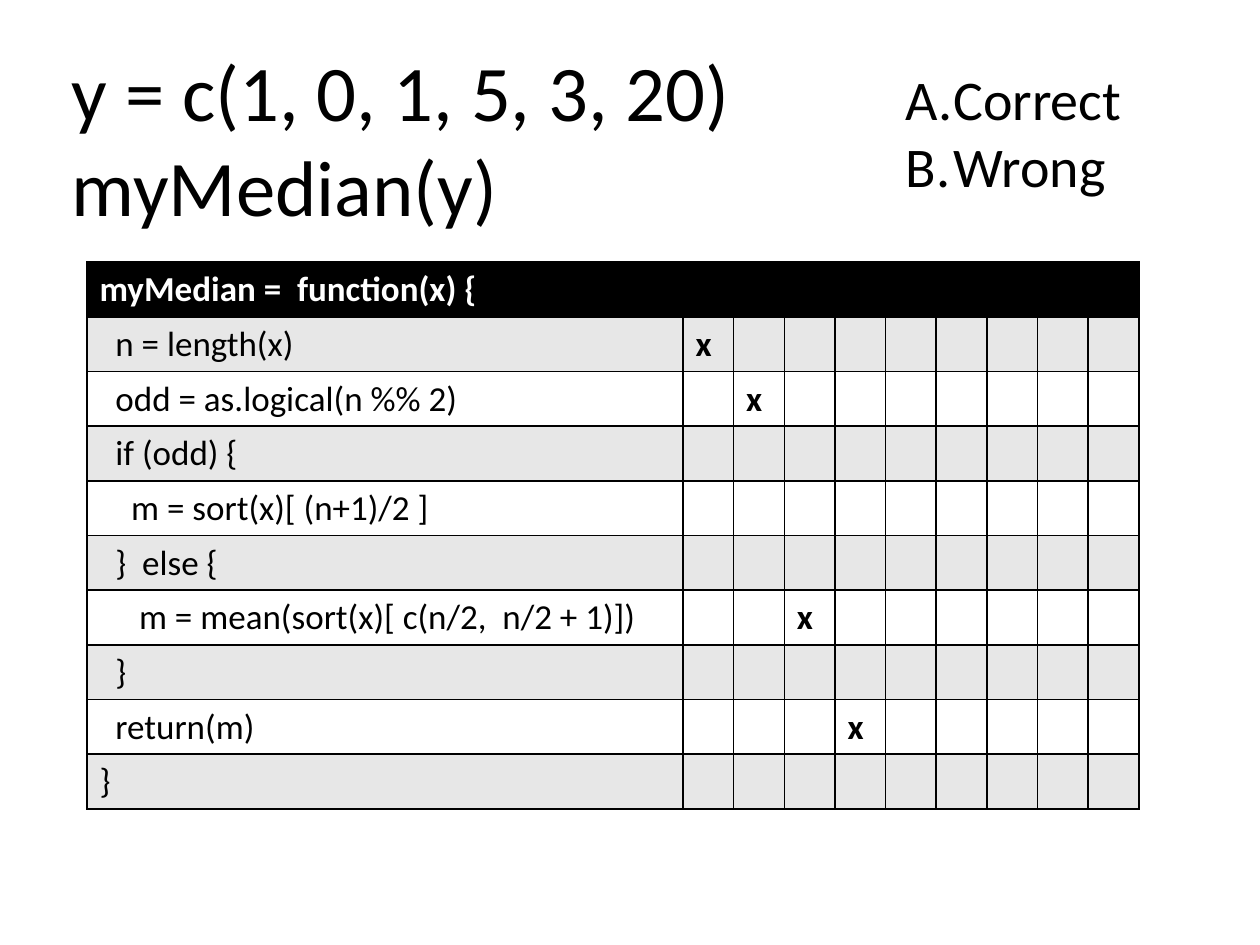
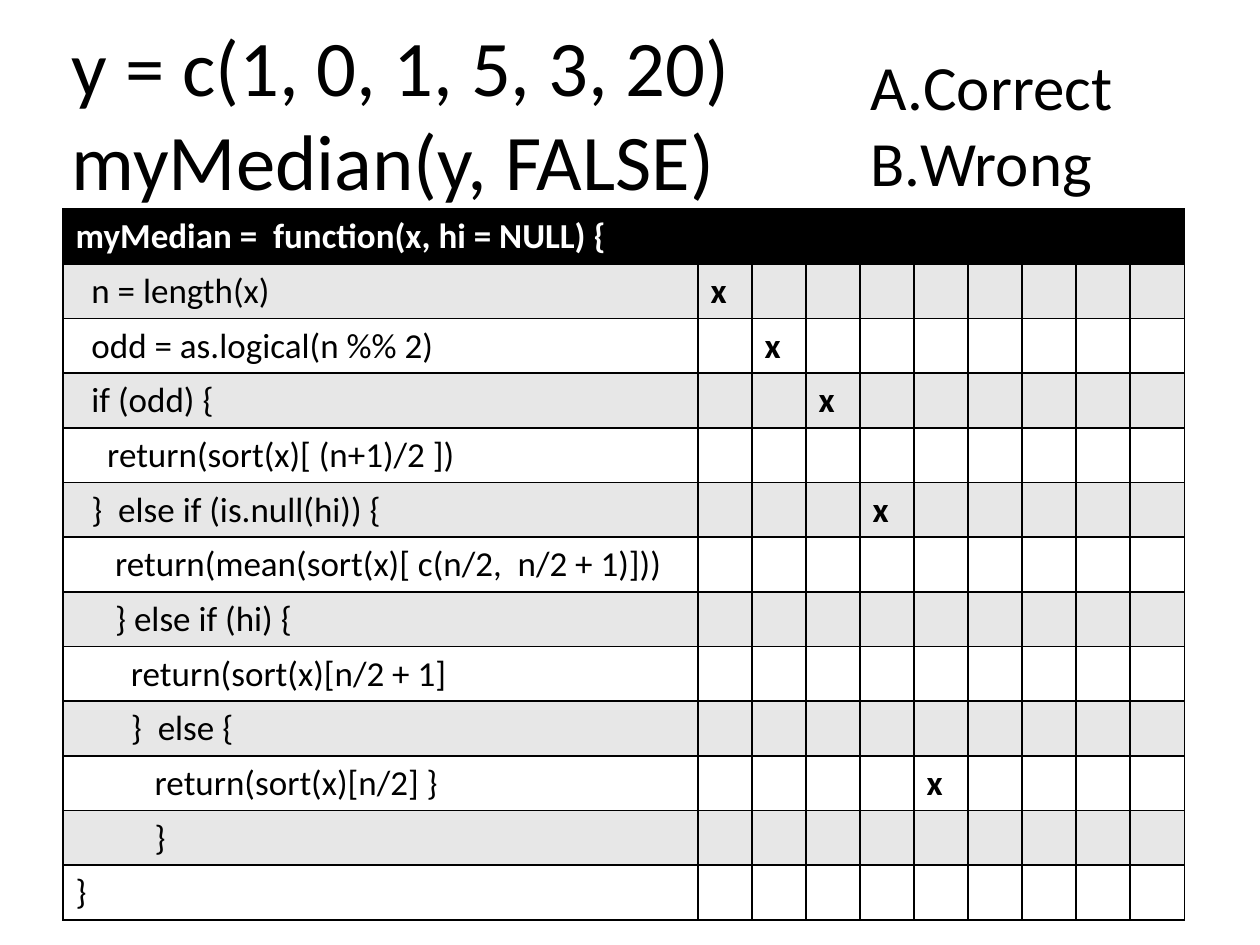
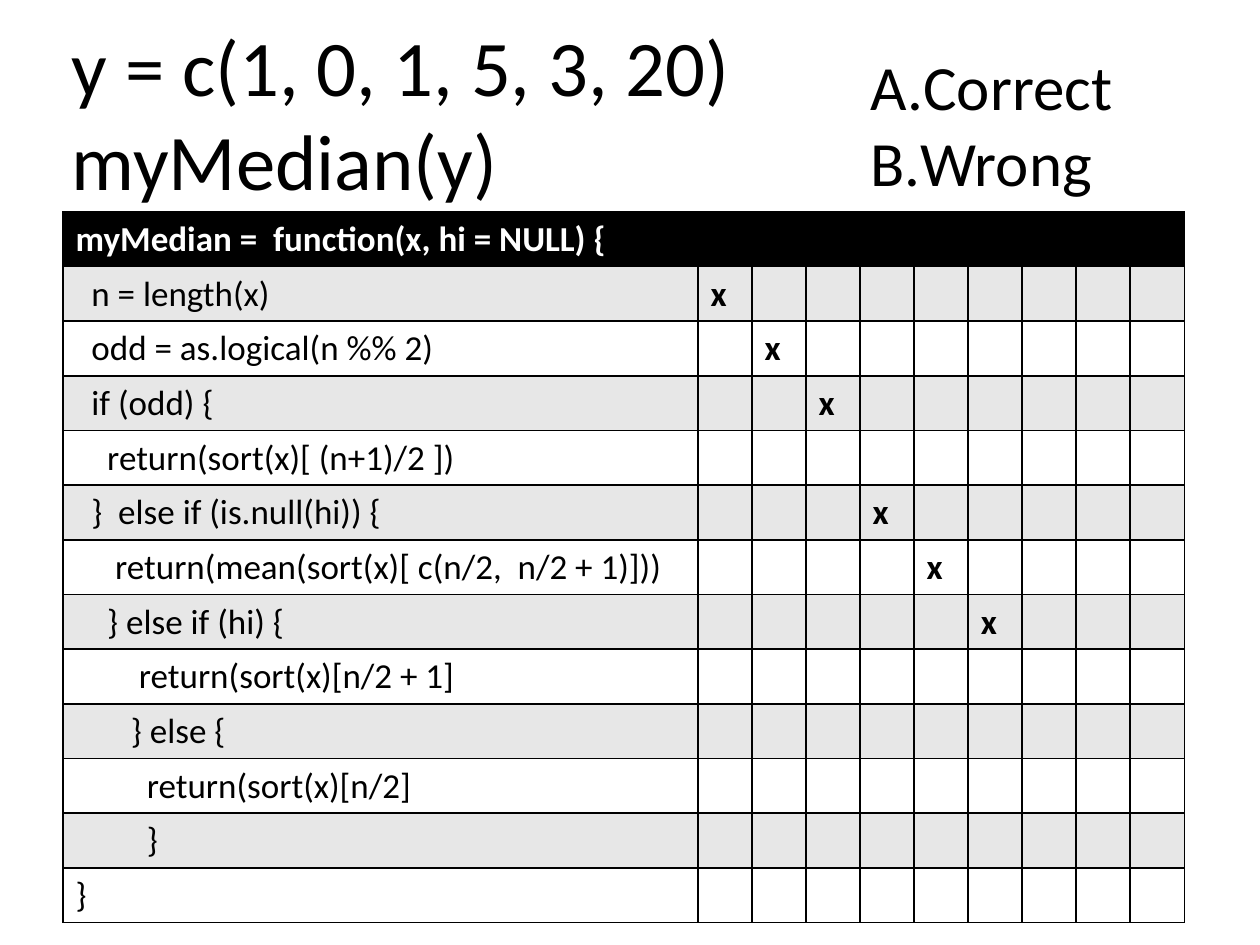
from dataclasses import dataclass

from lxml import etree
from pptx import Presentation
from pptx.dml.color import RGBColor
from pptx.enum.text import MSO_ANCHOR, MSO_AUTO_SIZE, PP_ALIGN
from pptx.oxml.ns import qn
from pptx.util import Pt

LEFT = PP_ALIGN.LEFT
TOP = MSO_ANCHOR.TOP
NO_FIT, GROW = MSO_AUTO_SIZE.NONE, MSO_AUTO_SIZE.SHAPE_TO_FIT_TEXT
TITLE_AND_CONTENT = 1
STEP_COLUMNS = 9


@dataclass(frozen=True)
class Theme:
    font: str = "Calibri"
    ink: RGBColor = RGBColor(0x00, 0x00, 0x00)
    paper: RGBColor = RGBColor(0xFF, 0xFF, 0xFF)
    band: RGBColor = RGBColor(0xE7, 0xE7, 0xE7)
    title_size: float = 45
    code_size: float = 20
    code_space: float = 4.52  # width of one space at code_size
    row_height: float = 31.2
    border: float = 1
    answer_indent: float = 27


@dataclass(frozen=True)
class Arrangement:
    """Places of the parts of one slide, in points."""
    title_top: float
    answers: tuple
    answer_size: float
    table_left: float
    table_width: float
    code_width: float


ROOMY = Arrangement(21.6, (510.5, 33.1, 140.4, 85), 32, 49.7, 601.2, 340.6)
TIGHT = Arrangement(7.2, (490.3, 23.8, 193.7, 94.3), 36, 36, 640.8, 362.9)

ANSWERS = ["Correct", "Wrong"]
VECTOR = "y = c(1, 0, 1, 5, 3, 20)"

COUNT_LINES = [
    "  n = length(x)",
    "  odd = as.logical(n %% 2)",
    "  if (odd) {",
]
SIMPLE_MEDIAN = [
    "myMedian =  function(x) {",
    *COUNT_LINES,
    "    m = sort(x)[ (n+1)/2 ]",
    "  }  else {",
    "     m = mean(sort(x)[ c(n/2,  n/2 + 1)])",
    "  }",
    "  return(m)",
    "}",
]
HI_MEDIAN_START = [
    "myMedian =  function(x, hi = NULL) {",
    *COUNT_LINES,
    "    return(sort(x)[ (n+1)/2 ])",
    "  }  else if (is.null(hi)) {",
    "     return(mean(sort(x)[ c(n/2,  n/2 + 1)]))",
]
HI_MEDIAN_FALSE = [
    *HI_MEDIAN_START,
    "     } else if (hi) {",
    "       return(sort(x)[n/2 + 1]",
    "       }  else {",
    "          return(sort(x)[n/2] }",
    "          }",
    "}",
]
HI_MEDIAN_NULL = [
    *HI_MEDIAN_START,
    "    } else if (hi) {",
    "        return(sort(x)[n/2 + 1]",
    "       } else {",
    "         return(sort(x)[n/2]",
    "         }",
    "}",
]


class TraceDeck:
    def __init__(self, theme):
        self.theme = theme
        self.deck = Presentation()
        self.deck.slide_width, self.deck.slide_height = Pt(720), Pt(540)
        self.page = None

    def add_page(self, arrangement):
        layout = self.deck.slide_layouts[TITLE_AND_CONTENT]
        self.page = self.deck.slides.add_slide(layout)
        self.arrangement = arrangement

    def format_paragraph(self, para, size, color, bold=False):
        para.alignment = LEFT
        font = para.font
        font.name, font.size, font.bold = self.theme.font, Pt(size), bold
        font.color.rgb = color

    def place(self, box, left, top, width, height):
        box.left, box.top = Pt(left), Pt(top)
        box.width, box.height = Pt(width), Pt(height)

    def add_title(self, call):
        box = self.page.shapes.title
        self.place(box, 36, self.arrangement.title_top, 648, 90)
        frame = box.text_frame
        frame.text = f"{VECTOR}\v{call}"
        frame.auto_size, frame.vertical_anchor = NO_FIT, TOP
        frame.margin_left = frame.margin_right = Pt(5)
        frame.margin_top = frame.margin_bottom = Pt(2.9)
        para = frame.paragraphs[0]
        self.format_paragraph(para, self.theme.title_size, self.theme.ink)

    def add_answers(self):
        box = self.page.placeholders[1]
        self.place(box, *self.arrangement.answers)
        frame = box.text_frame
        frame.text = "\n".join(ANSWERS)
        frame.auto_size, frame.vertical_anchor = GROW, TOP
        indent = Pt(self.theme.answer_indent)
        for para in frame.paragraphs:
            self.format_paragraph(para, self.arrangement.answer_size, self.theme.ink)
            para.space_before = Pt(0)
            properties = para._p.get_or_add_pPr()
            properties.set("marL", str(indent))
            properties.set("indent", str(-indent))
            # Numbering goes before the default run properties.
            number = etree.Element(qn("a:buAutoNum"), type="alphaUcPeriod")
            properties.find(qn("a:defRPr")).addprevious(number)

    def style_cell(self, cell, fill):
        properties = cell._tc.get_or_add_tcPr()
        for side in ("a:lnL", "a:lnR", "a:lnT", "a:lnB"):
            line = etree.SubElement(properties, qn(side), w=str(Pt(self.theme.border)))
            solid = etree.SubElement(line, qn("a:solidFill"))
            etree.SubElement(solid, qn("a:srgbClr"), val=str(self.theme.ink))
        cell.fill.solid()
        cell.fill.fore_color.rgb = fill

    def write_code(self, cell, line, color, bold=False):
        """Write a code line, with its leading spaces as a paragraph margin."""
        code = line.lstrip()
        cell.text = code
        para = cell.text_frame.paragraphs[0]
        self.format_paragraph(para, self.theme.code_size, color, bold)
        margin = Pt((len(line) - len(code)) * self.theme.code_space)
        para._p.get_or_add_pPr().set("marL", str(margin))

    def add_trace(self, top, lines, visited):
        """Add the code table; the nth visited line is marked in step column n."""
        theme, places = self.theme, self.arrangement
        table = self.page.shapes.add_table(
            len(lines), 1 + STEP_COLUMNS, Pt(places.table_left), Pt(top),
            Pt(places.table_width), Pt(len(lines) * theme.row_height)).table
        step_width = (places.table_width - places.code_width) / STEP_COLUMNS
        for index, column in enumerate(table.columns):
            column.width = Pt(step_width if index else places.code_width)
        for index, line in enumerate(lines):
            header = index == 0
            fill = theme.ink if header else theme.band if index % 2 else theme.paper
            for cell in table.rows[index].cells:
                self.style_cell(cell, fill)
            color = theme.paper if header else theme.ink
            self.write_code(table.cell(index, 0), line, color, bold=header)
        table.cell(0, 0).merge(table.cell(0, STEP_COLUMNS))
        for step, row in enumerate(visited, start=1):
            self.write_code(table.cell(row, step), "x", theme.ink, bold=True)

    def add_question(self, arrangement, call, table_top, lines, visited):
        self.add_page(arrangement)
        self.add_title(call)
        self.add_trace(table_top, lines, visited)
        self.add_answers()


def main():
    trace = TraceDeck(Theme())
    trace.add_question(ROOMY, "myMedian(y)", 149.8, SIMPLE_MEDIAN, [1, 2, 6, 8])
    trace.add_question(TIGHT, "myMedian(y, FALSE)", 119.5, HI_MEDIAN_FALSE,
                       [1, 2, 3, 5, 10])
    trace.add_question(TIGHT, "myMedian(y)", 121, HI_MEDIAN_NULL,
                       [1, 2, 3, 5, 6, 7])
    trace.deck.save("out.pptx")


if __name__ == "__main__":
    main()
